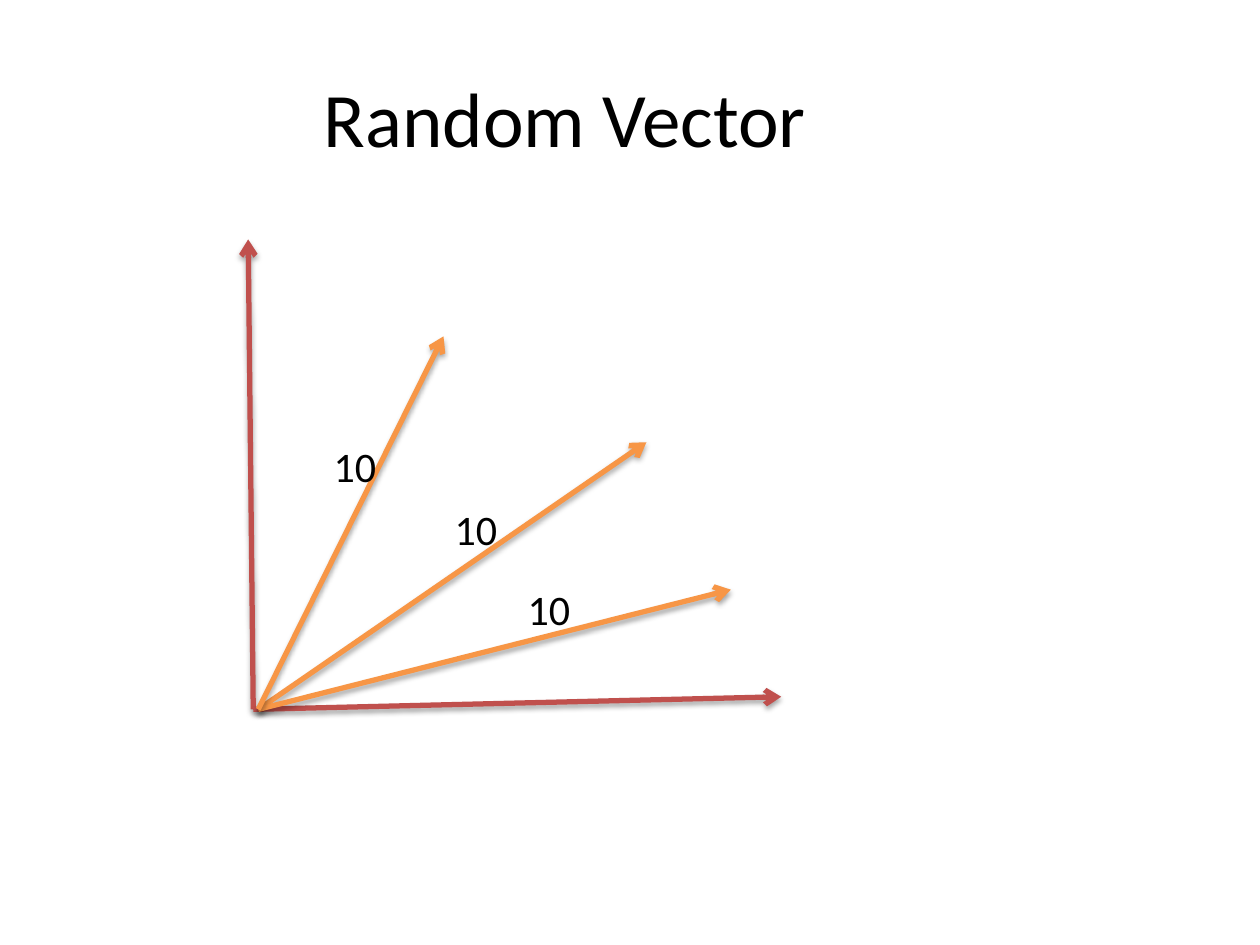
from lxml import etree
from pptx import Presentation
from pptx import util as u
from pptx.dml.color import RGBColor
from pptx.enum import shapes, text
from pptx.oxml.ns import qn

COLORS = {"text": "000000", "axis": "C0504D", "vector": "F79646", "shadow": "000000"}
FONT = "Calibri"

AXIS_ORIGIN = (2.01, 5.63)
AXIS_TIPS = [(1.97, 1.9), (6.2, 5.53)]
VECTOR_ORIGIN = (2.05, 5.63)
# Tip of each vector and the corner of its length label
VECTORS = [
    ((5.13, 3.51), (3.51, 3.95)),
    ((5.8, 4.68), (4.09, 4.58)),
    ((3.52, 2.67), (2.55, 3.45)),
]


def add_run(paragraph, words, size):
    run = paragraph.add_run()
    run.text = words
    run.font.name = FONT
    run.font.size = u.Pt(size)
    run.font.color.rgb = RGBColor.from_string(COLORS["text"])


def set_title(slide, words):
    title = slide.shapes.title
    title.left, title.top = u.Inches(0.5), u.Inches(0.3)
    title.width, title.height = u.Inches(7.97), u.Inches(1.25)
    title.text_frame.vertical_anchor = text.MSO_ANCHOR.MIDDLE
    paragraph = title.text_frame.paragraphs[0]
    paragraph.alignment = text.PP_ALIGN.CENTER
    add_run(paragraph, words, 44)


def add_shadow(connector):
    effects = etree.SubElement(connector._element.spPr, qn("a:effectLst"))
    shadow = etree.SubElement(
        effects, qn("a:outerShdw"), blurRad=str(u.Pt(3.1)), dist=str(u.Pt(1.8)),
        dir="5400000", rotWithShape="0")
    color = etree.SubElement(shadow, qn("a:srgbClr"), val=COLORS["shadow"])
    etree.SubElement(color, qn("a:alpha"), val="35000")


def add_arrow(group, start, tip, color):
    connector = group.shapes.add_connector(
        shapes.MSO_CONNECTOR.STRAIGHT, *map(u.Inches, start + tip))
    connector.line.color.rgb = RGBColor.from_string(COLORS[color])
    connector.line.width = u.Pt(3)
    etree.SubElement(connector.line._get_or_add_ln(), qn("a:tailEnd"), type="arrow")
    add_shadow(connector)


def add_label(group, corner, words):
    label = group.shapes.add_textbox(*map(u.Inches, corner + (0.84, 0.5)))
    label.text_frame.word_wrap = True
    label.text_frame.auto_size = text.MSO_AUTO_SIZE.SHAPE_TO_FIT_TEXT
    add_run(label.text_frame.paragraphs[0], words, 24)


def main():
    presentation = Presentation()
    presentation.slide_width = u.Inches(10)
    presentation.slide_height = u.Inches(7.5)
    slide = presentation.slides.add_slide(presentation.slide_layouts[5])
    set_title(slide, "Random Vector")

    # Axes, then vectors, then their lengths on top
    diagram = slide.shapes.add_group_shape()
    for tip in AXIS_TIPS:
        add_arrow(diagram, AXIS_ORIGIN, tip, "axis")
    for tip, _ in VECTORS:
        add_arrow(diagram, VECTOR_ORIGIN, tip, "vector")
    for _, corner in VECTORS:
        add_label(diagram, corner, "10")

    presentation.save("out.pptx")


if __name__ == "__main__":
    main()
